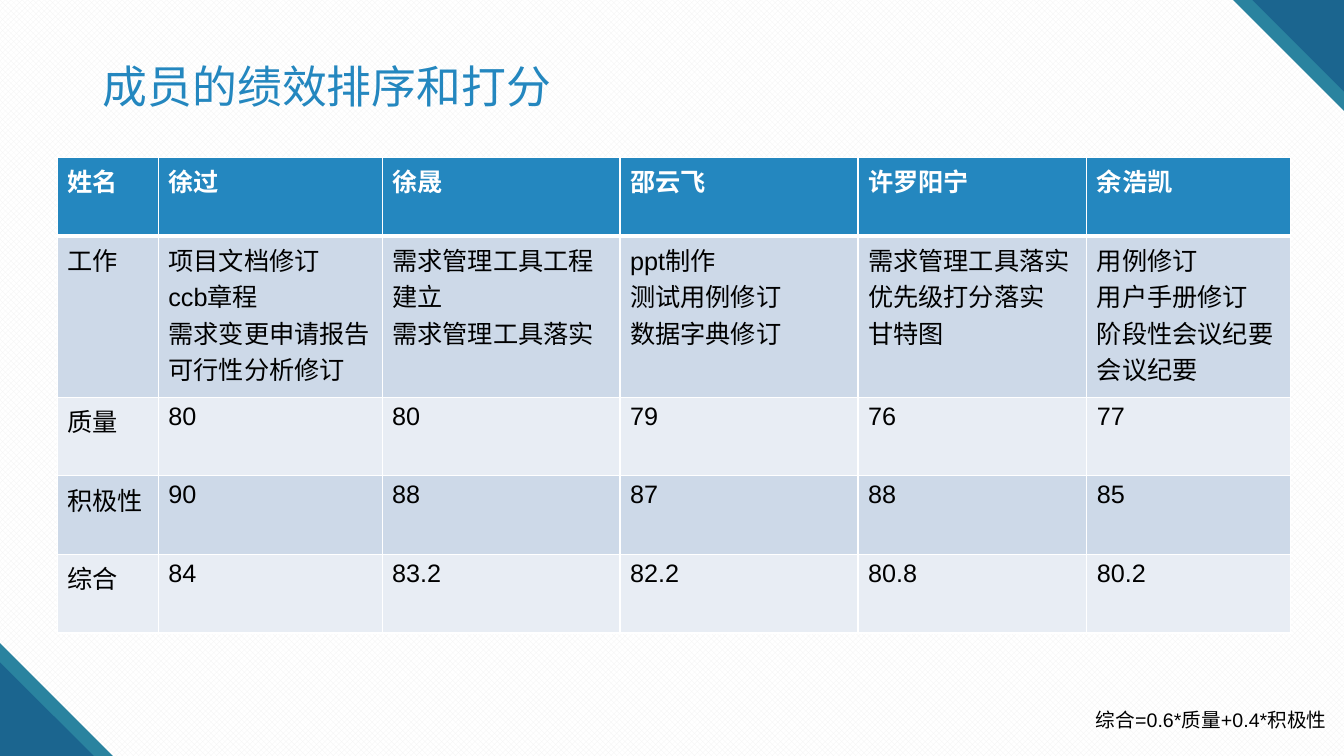
from lxml import etree
from pptx import Presentation
from pptx.dml.color import RGBColor
from pptx.enum.dml import MSO_PATTERN
from pptx.enum.shapes import MSO_SHAPE
from pptx.enum.text import MSO_ANCHOR
from pptx.oxml.ns import qn
from pptx.util import Inches, Pt

TRIANGLE = MSO_SHAPE.RIGHT_TRIANGLE
MIDDLE = MSO_ANCHOR.MIDDLE
WEAVE = MSO_PATTERN.OUTLINED_DIAMOND

WIDTH, HEIGHT = 13.33, 7.5
TITLE_ONLY = 5
FONT = "Arial"
COLORS = {
    "white": "FFFFFF",
    "weave": "F2F2F2",
    "black": "000000",
    "accent": "2487BF",
    "teal": "2A839F",
    "navy": "1B658F",
    "band_dark": "CDD9E8",
    "band_light": "E8EDF4",
}

COLUMN_WIDTHS = [1, 2.22, 2.36, 2.36, 2.27, 2.02]
ROW_HEIGHTS = [0.78, 1.6, 0.78, 0.78, 0.78]
SCORES = [
    ["姓名", "徐过", "徐晟", "邵云飞", "许罗阳宁", "余浩凯"],
    [
        "工作",
        "项目文档修订\nccb章程\n需求变更申请报告\n可行性分析修订",
        "需求管理工具工程建立\n需求管理工具落实",
        "ppt制作\n测试用例修订\n数据字典修订",
        "需求管理工具落实\n优先级打分落实\n甘特图",
        "用例修订\n用户手册修订\n阶段性会议纪要\n会议纪要",
    ],
    ["质量", "80", "80", "79", "76", "77"],
    ["积极性", "90", "88", "87", "88", "85"],
    ["综合", "84", "83.2", "82.2", "80.8", "80.2"],
]


def color(name):
    return RGBColor.from_string(COLORS[name])


def write_text(frame, text, size=18, ink="black", bold=False, spacing=1.0):
    """Fill a text frame, one paragraph for each line of text."""
    frame.word_wrap = True
    for index, line in enumerate(text.split("\n")):
        para = frame.add_paragraph() if index else frame.paragraphs[0]
        para.line_spacing = spacing
        span = para.add_run()
        span.text = line
        span.font.name = FONT
        span.font.size = Pt(size)
        span.font.bold = bold
        span.font.color.rgb = color(ink)


def set_borders(cell, top, bottom):
    """Draw white cell borders; widths are in points, the sides are 1."""
    properties = cell._tc.get_or_add_tcPr()
    sides = [("a:lnL", 1), ("a:lnR", 1), ("a:lnT", top), ("a:lnB", bottom)]
    for index, (tag, width) in enumerate(sides):
        line = etree.Element(qn(tag), w=str(Pt(width)))
        fill = etree.SubElement(line, qn("a:solidFill"))
        etree.SubElement(fill, qn("a:srgbClr"), val=COLORS["white"])
        properties.insert(index, line)


def add_background(page):
    fill = page.background.fill
    fill.patterned()
    fill.pattern = WEAVE
    fill.fore_color.rgb = color("weave")
    fill.back_color.rgb = color("white")


def add_corner(page, sizes, top_right=False):
    """Stack a teal and a navy triangle in a corner of the page."""
    for size, name in zip(sizes, ("teal", "navy")):
        left, top = (WIDTH - size, 0) if top_right else (0, HEIGHT - size)
        triangle = page.shapes.add_shape(
            TRIANGLE, Inches(left), Inches(top), Inches(size), Inches(size)
        )
        triangle.rotation = 180 if top_right else 0
        triangle.shadow.inherit = False
        triangle.fill.solid()
        triangle.fill.fore_color.rgb = color(name)
        triangle.line.fill.background()


def add_title(page, left, top, width, height):
    title = page.shapes.title
    title.left, title.top = Inches(left), Inches(top)
    title.width, title.height = Inches(width), Inches(height)
    frame = title.text_frame
    write_text(frame, "成员的绩效排序和打分", size=32, ink="accent", spacing=1.2)
    frame.vertical_anchor = MIDDLE
    frame.paragraphs[0].alignment = 1


def add_score_table(page, left, top):
    table = page.shapes.add_table(
        len(SCORES), len(COLUMN_WIDTHS), Inches(left), Inches(top),
        Inches(sum(COLUMN_WIDTHS)), Inches(sum(ROW_HEIGHTS)),
    ).table
    for column, width in zip(table.columns, COLUMN_WIDTHS):
        column.width = Inches(width)
    for row, height in zip(table.rows, ROW_HEIGHTS):
        row.height = Inches(height)
    for row_index, texts in enumerate(SCORES):
        header = row_index == 0
        band = "band_dark" if row_index % 2 else "band_light"
        for column_index, text in enumerate(texts):
            cell = table.cell(row_index, column_index)
            write_text(cell.text_frame, text, bold=header,
                       ink="white" if header else "black")
            cell.fill.solid()
            cell.fill.fore_color.rgb = color("accent" if header else band)
            set_borders(cell, top=3 if row_index == 1 else 1,
                        bottom=3 if header else 1)


def add_formula(page, left, top, width, height):
    box = page.shapes.add_textbox(
        Inches(left), Inches(top), Inches(width), Inches(height)
    )
    write_text(box.text_frame, "综合=0.6*质量+0.4*积极性", size=14)


def main():
    deck = Presentation()
    deck.slide_width, deck.slide_height = Inches(WIDTH), Inches(HEIGHT)
    page = deck.slides.add_slide(deck.slide_layouts[TITLE_ONLY])
    add_background(page)
    add_corner(page, (1.1, 0.91), top_right=True)
    add_corner(page, (1.12, 0.93))
    add_title(page, 0.92, 0.47, 9.47, 0.65)
    add_score_table(page, 0.57, 1.56)
    add_formula(page, 10.77, 6.97, 3.31, 0.34)
    deck.save("out.pptx")


if __name__ == "__main__":
    main()
